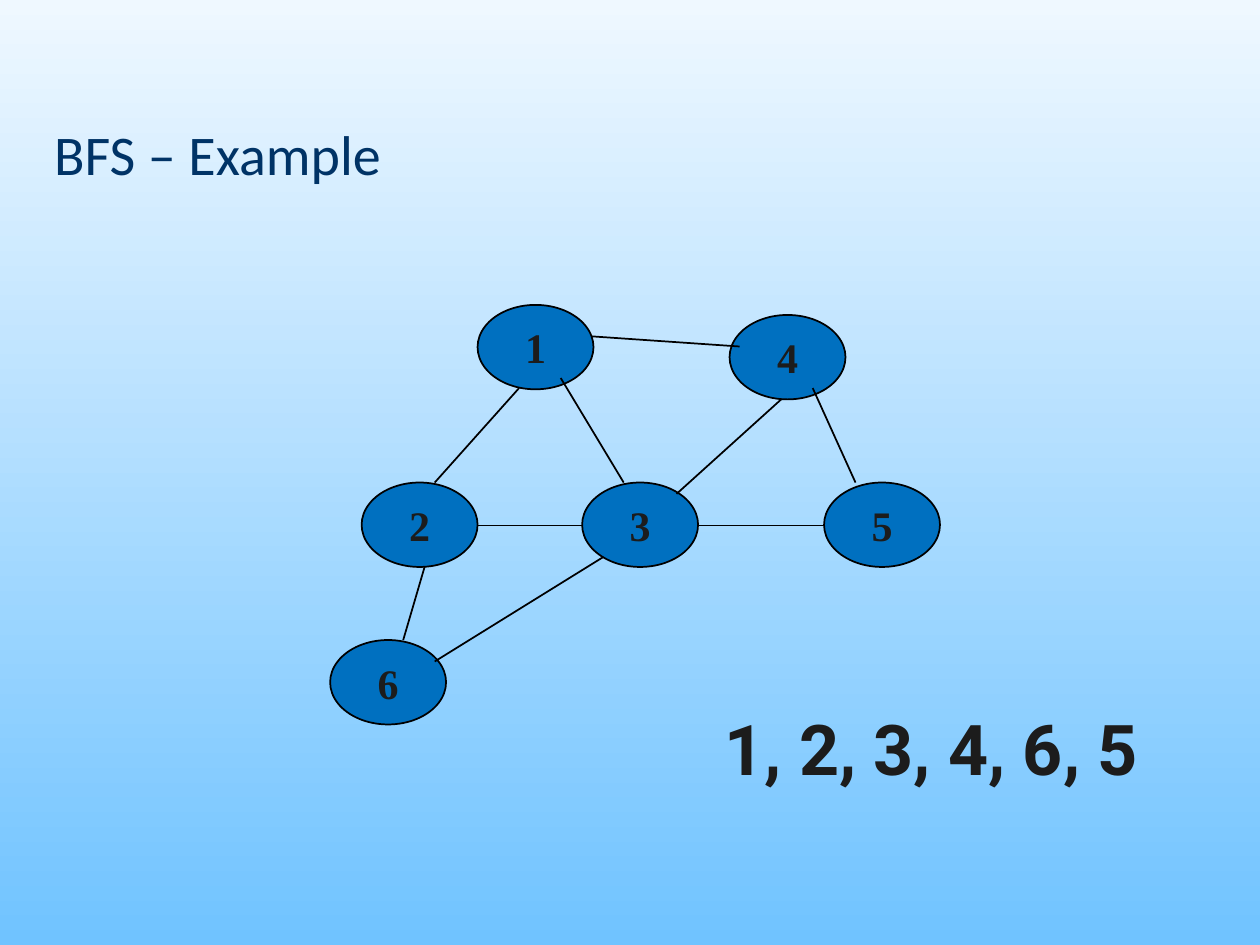
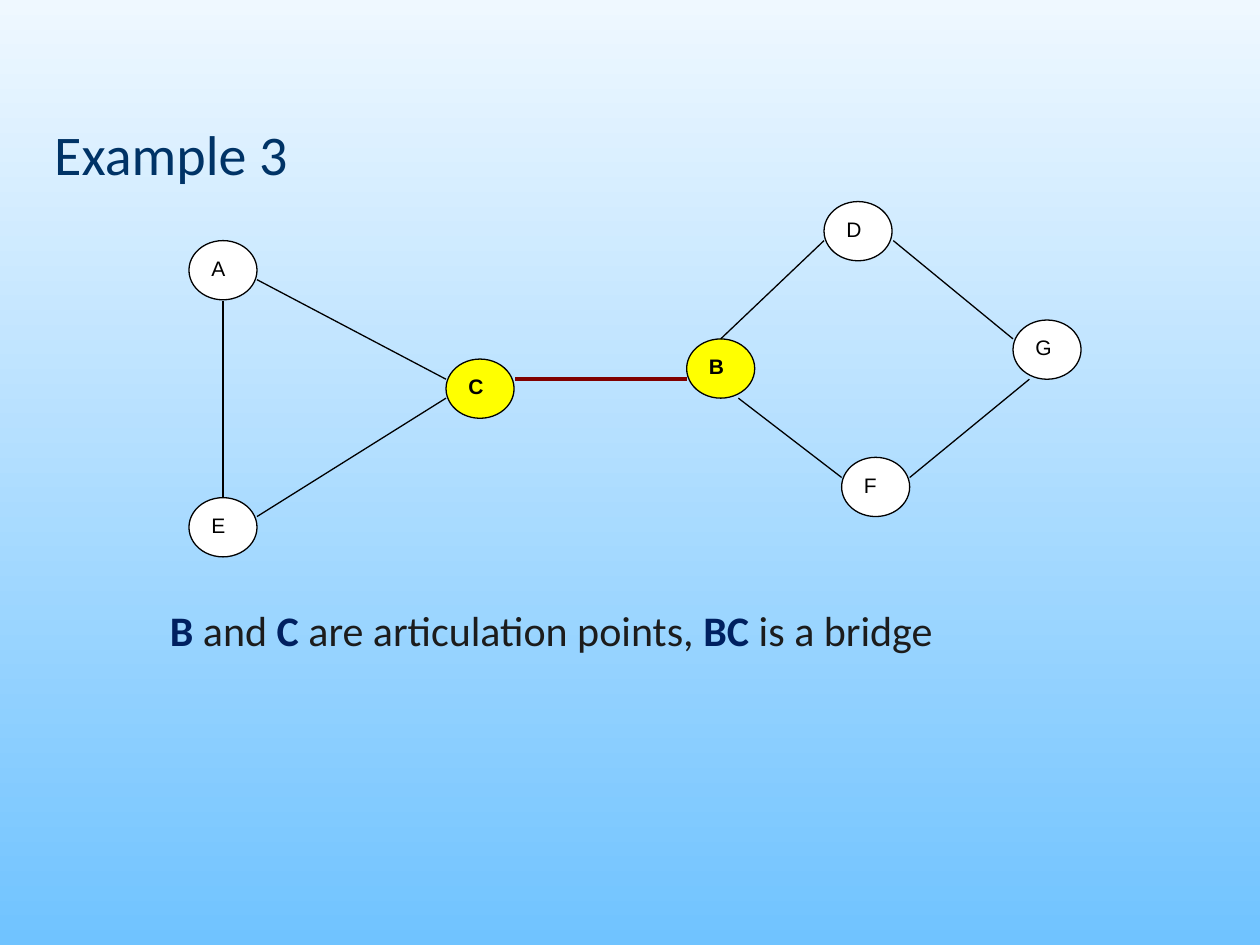
from lxml import etree
from pptx import Presentation
from pptx import util as u
from pptx.dml.color import RGBColor
from pptx.enum import shapes, text
from pptx.oxml.ns import qn

SKY_TOP = RGBColor(0xEF, 0xF8, 0xFF)
SKY_BOTTOM = RGBColor(0x70, 0xC3, 0xFF)
TITLE_BLUE = RGBColor(0x00, 0x33, 0x66)
NODE_BLUE = RGBColor(0x00, 0x70, 0xC0)
KEY_BLUE = RGBColor(0x00, 0x20, 0x60)
INK = RGBColor(0x1C, 0x1C, 0x1C)
BLACK = RGBColor(0x00, 0x00, 0x00)
WHITE = RGBColor(0xFF, 0xFF, 0xFF)
YELLOW = RGBColor(0xFF, 0xFF, 0x00)
MAROON = RGBColor(0x80, 0x00, 0x00)


def add_node(container, left, top, width, height, fill, line_width):
    node = container.add_shape(shapes.MSO_SHAPE.OVAL, u.Inches(left), u.Inches(top),
                               u.Inches(width), u.Inches(height))
    node.shadow.inherit = False
    node.fill.solid()
    node.fill.fore_color.rgb = fill
    node.line.color.rgb = BLACK
    node.line.width = u.Pt(line_width)
    return node


def add_edge(container, ends, color, line_width):
    edge = container.add_connector(shapes.MSO_CONNECTOR.STRAIGHT,
                                   *[u.Inches(value) for value in ends])
    edge.line.color.rgb = color
    edge.line.width = u.Pt(line_width)
    etree.SubElement(edge._element.spPr, qn("a:effectLst"))


presentation = Presentation()
presentation.slide_width = u.Inches(10)
presentation.slide_height = u.Inches(7.5)

# Shared background and title position
background = presentation.slide_master.background.fill
background.gradient()
background.gradient_angle = 270
for stop, color, position in zip(background.gradient_stops, (SKY_TOP, SKY_BOTTOM), (0, 1)):
    stop.color.rgb = color
    stop.position = position

layout = presentation.slide_layouts[5]
layout_title = layout.placeholders[0]
layout_title.left, layout_title.top = u.Inches(0.33), u.Inches(0.88)
layout_title.width, layout_title.height = u.Inches(9.17), u.Inches(0.67)

# Slides with their titles
slides = []
for heading in ("BFS – Example", "Example 3"):
    slide = presentation.slides.add_slide(layout)
    slide.shapes.title.text_frame.vertical_anchor = text.MSO_ANCHOR.MIDDLE
    paragraph = slide.shapes.title.text_frame.paragraphs[0]
    paragraph.alignment = text.PP_ALIGN.LEFT
    run = paragraph.add_run()
    run.text = heading
    run.font.name = "Calibri"
    run.font.size = u.Pt(32)
    run.font.color.rgb = TITLE_BLUE
    slides.append(slide)
bfs_slide, bridge_slide = slides

# BFS graph: numbered nodes
for label, left, top in (("1", 3.79, 2.42), ("4", 5.79, 2.5), ("2", 2.87, 3.83),
                         ("3", 4.62, 3.83), ("5", 6.54, 3.83), ("6", 2.62, 5.08)):
    node = add_node(bfs_slide.shapes, left, top, 0.92, 0.67, NODE_BLUE, 1)
    node.text_frame.word_wrap = False
    node.text_frame.vertical_anchor = text.MSO_ANCHOR.MIDDLE
    paragraph = node.text_frame.paragraphs[0]
    paragraph.alignment = text.PP_ALIGN.CENTER
    run = paragraph.add_run()
    run.text = label
    run.font.name = "Times New Roman"
    run.font.size = u.Pt(24)
    run.font.bold = True
    run.font.color.rgb = INK

# BFS graph: edges
for ends in ((4.12, 3.08, 3.45, 3.83),   # 1-2
             (4.7, 2.67, 5.87, 2.75),    # 1-4
             (4.45, 3, 4.95, 3.83),      # 1-3
             (3.79, 4.17, 4.62, 4.17),   # 2-3
             (5.37, 3.92, 6.2, 3.17),    # 3-4
             (5.54, 4.17, 6.54, 4.17),   # 3-5
             (6.45, 3.08, 6.79, 3.83),   # 4-5
             (3.37, 4.5, 3.2, 5.08),     # 2-6
             (3.45, 5.25, 4.79, 4.42)):  # 6-3
    add_edge(bfs_slide.shapes, ends, BLACK, 1)

# Articulation graph: lettered nodes, cut vertices in yellow
graph = bridge_slide.shapes.add_group_shape().shapes
for label, left, top in (("A", 1.5, 1.91), ("B", 5.45, 2.69), ("C", 3.54, 2.85),
                         ("E", 1.5, 3.95), ("F", 6.68, 3.63), ("G", 8.04, 2.54),
                         ("D", 6.54, 1.6)):
    is_cut = label in "BC"
    node = add_node(graph, left, top, 0.54, 0.47, YELLOW if is_cut else WHITE, 0.75)
    node.text_frame.word_wrap = True
    node.text_frame.vertical_anchor = text.MSO_ANCHOR.TOP
    paragraph = node.text_frame.paragraphs[0]
    paragraph.alignment = text.PP_ALIGN.LEFT
    run = paragraph.add_run()
    run.text = label
    run.font.name = "Arial"
    run.font.size = u.Pt(12)
    run.font.bold = is_cut
    run.font.color.rgb = BLACK

# Articulation graph: edges, then the bridge
for ends in ((1.77, 2.39, 1.77, 3.95),   # A-E
             (2.04, 2.22, 3.54, 3.01),   # A-C
             (2.04, 4.1, 3.54, 3.16),    # E-C
             (7.22, 3.79, 8.17, 3.01),   # F-G
             (5.72, 2.69, 6.54, 1.91),   # B-D
             (7.09, 1.91, 8.04, 2.69),   # D-G
             (5.86, 3.16, 6.68, 3.79)):  # B-F
    add_edge(graph, ends, BLACK, 0.75)
add_edge(graph, (4.09, 3.01, 5.45, 3.01), MAROON, 2.25)

# Result line under each graph; runs are (wording, colour, bold)
visit_order = [("1, 2, 3, 4, 6, 5", INK, True)]
conclusion = [("B", KEY_BLUE, True), (" and ", INK, False), ("C", KEY_BLUE, True),
              (" are articulation points, ", INK, False), ("BC", KEY_BLUE, True),
              (" is a bridge", INK, False)]
for slide, box, alignment, font_name, size, runs in (
        (bfs_slide, (5.37, 5.55, 4.04, 0.77), text.PP_ALIGN.CENTER, "Roboto", 40, visit_order),
        (bridge_slide, (1.25, 4.75, 7.08, 0.5), text.PP_ALIGN.LEFT, "Calibri", 24, conclusion)):
    result = slide.shapes.add_textbox(*[u.Inches(value) for value in box])
    result.text_frame.word_wrap = True
    result.text_frame.auto_size = text.MSO_AUTO_SIZE.SHAPE_TO_FIT_TEXT
    paragraph = result.text_frame.paragraphs[0]
    paragraph.alignment = alignment
    for wording, color, bold in runs:
        run = paragraph.add_run()
        run.text = wording
        run.font.name = font_name
        run.font.size = u.Pt(size)
        run.font.bold = bold
        run.font.color.rgb = color

presentation.save("out.pptx")
